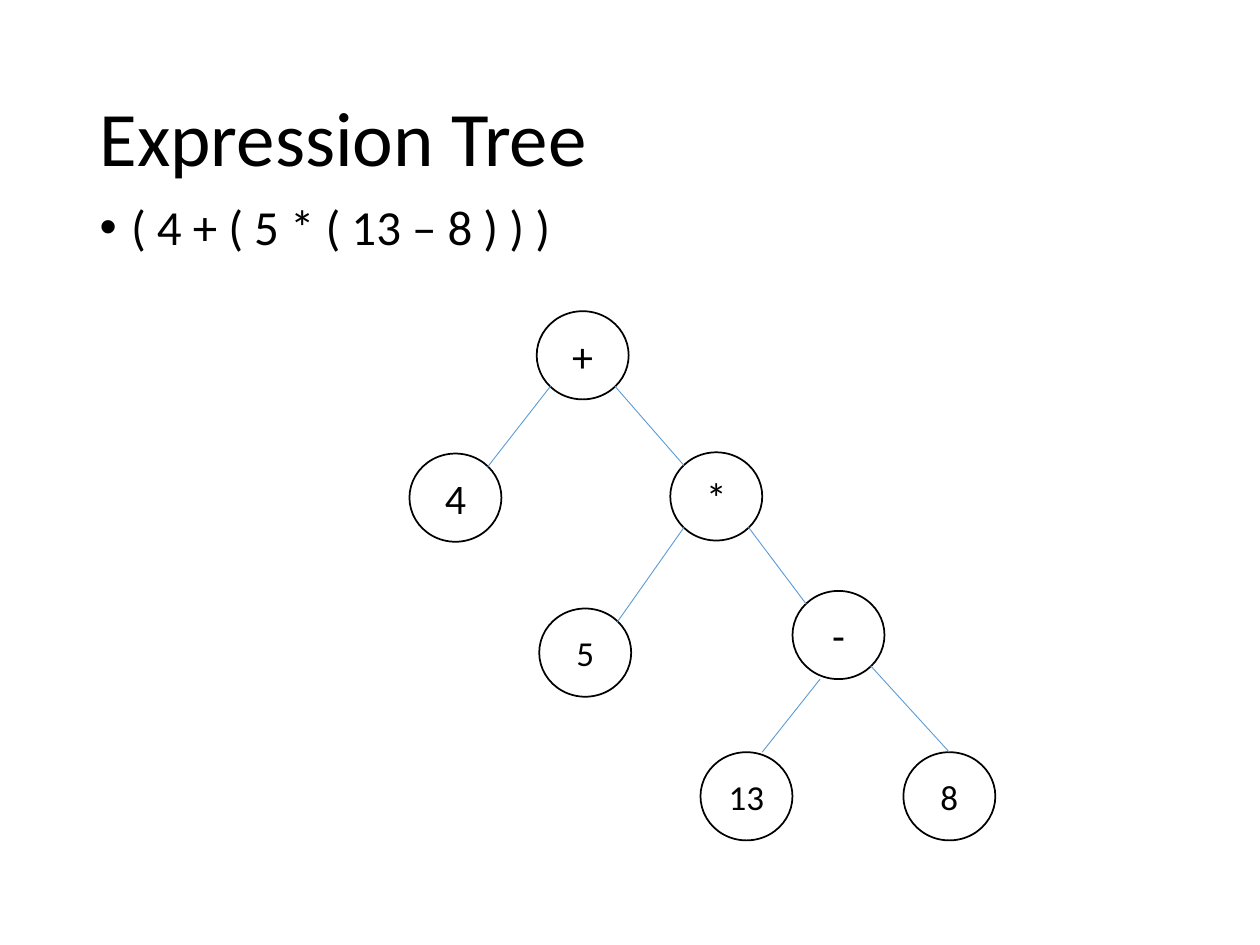
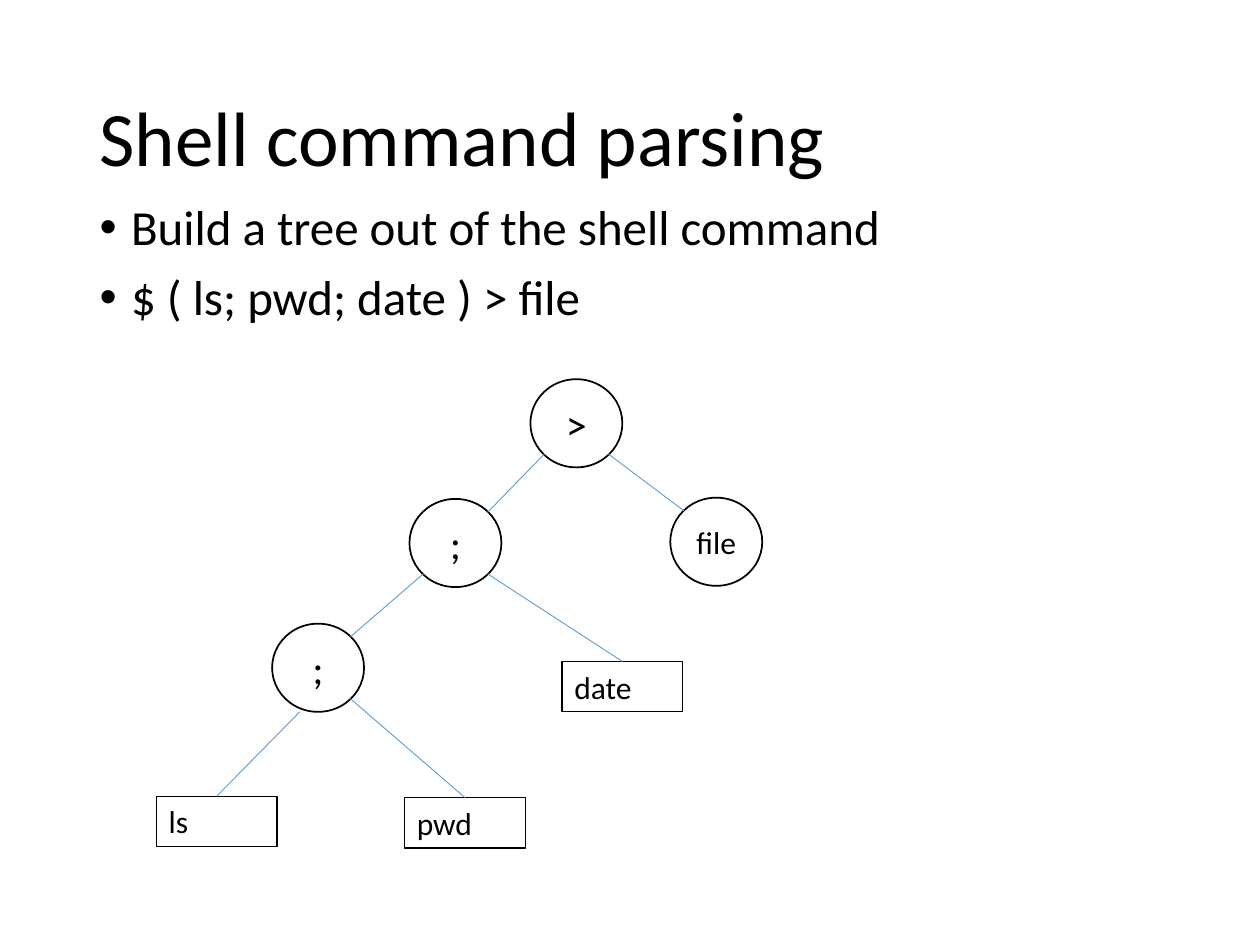
from lxml import etree
from pptx import Presentation
from pptx.dml.color import RGBColor
from pptx.enum.shapes import MSO_CONNECTOR, MSO_SHAPE
from pptx.enum.text import MSO_ANCHOR, MSO_AUTO_SIZE, PP_ALIGN
from pptx.oxml.ns import qn
from pptx.util import Inches, Pt

OVAL, STRAIGHT = MSO_SHAPE.OVAL, MSO_CONNECTOR.STRAIGHT
TOP, MIDDLE = MSO_ANCHOR.TOP, MSO_ANCHOR.MIDDLE
LEFT, CENTER = PP_ALIGN.LEFT, PP_ALIGN.CENTER
NO_FIT, FIT_SHAPE = MSO_AUTO_SIZE.NONE, MSO_AUTO_SIZE.SHAPE_TO_FIT_TEXT

COLORS = {"paper": "FFFFFF", "ink": "000000", "edge": "5B9BD5"}
FONT = "Calibri"
TITLE_BOX = (0.69, 0.4, 8.62, 1.45)
BODY_BOX = (0.69, 1.56, 8.62, 4.76)
CIRCLE_SIZE = (0.73, 0.7)
COMMAND_SIZE = (0.96, 0.4)
COMMAND_TOP = 0  # connection site

# Points on a circle's frame, as fractions of its width and height
PORTS = {"nw": (0.15, 0.15), "ne": (0.85, 0.15), "sw": (0.15, 0.85), "se": (0.85, 0.85),
         "top": (0.5, 0), "top right": (0.67, 0), "bottom left": (0.3, 1)}

# Circles: name -> (label, font size, x, y), measured from the tree's corner
EXPRESSION_CIRCLES = {
    "plus": ("+", 24, 1.01, 0),
    "four": ("4", 24, 0, 1.13),
    "times": ("*", 24, 2.07, 1.12),
    "thirteen": ("13", 20, 2.31, 3.5),
    "minus": ("-", 24, 3.04, 2.22),
    "five": ("5", 20, 1.03, 2.36),
    "eight": ("8", 20, 3.92, 3.5),
}
# Edges: (parent, parent port, child, child port)
EXPRESSION_EDGES = [
    ("plus", "sw", "four", "ne"),
    ("plus", "se", "times", "nw"),
    ("times", "sw", "five", "ne"),
    ("times", "se", "minus", "nw"),
    ("minus", "bottom left", "thirteen", "top right"),
    ("minus", "se", "eight", "top"),
]

SHELL_CIRCLES = {
    "redirect": (">", 24, 2.97, 0),
    "outer list": (";", 24, 2.01, 0.95),
    "file": ("file", 18, 4.08, 0.94),
    "inner list": (";", 24, 0.92, 1.94),
}
SHELL_COMMANDS = {"date": (3.22, 2.24), "pwd": (1.97, 3.32), "ls": (0, 3.31)}
SHELL_EDGES = [
    ("redirect", "sw", "outer list", "ne"),
    ("redirect", "se", "file", "nw"),
    ("outer list", "se", "date", None),
    ("outer list", "sw", "inner list", "ne"),
    ("inner list", "se", "pwd", None),
    ("inner list", "bottom left", "ls", None),
]


def rgb(name):
    return RGBColor.from_string(COLORS[name])


def inches(values):
    return [Inches(v) for v in values]


def style_text(p, size, align=LEFT):
    p.alignment = align
    for r in p.runs:
        r.font.name = FONT
        r.font.size = Pt(size)
        r.font.color.rgb = rgb("ink")


def set_line(shape, color, width):
    shape.line.color.rgb = rgb(color)
    shape.line.width = Pt(width)


def fill_placeholder(sp, box, lines, size, anchor):
    sp.left, sp.top, sp.width, sp.height = inches(box)
    tf = sp.text_frame
    tf.text = "\n".join(lines)
    tf.auto_size = NO_FIT
    tf.vertical_anchor = anchor
    for p in tf.paragraphs:
        style_text(p, size)
        p.line_spacing = 0.9


def add_heading(s, title, bullets):
    fill_placeholder(s.shapes.title, TITLE_BOX, [title], 44, MIDDLE)
    body = s.placeholders[1]
    fill_placeholder(body, BODY_BOX, bullets, 28, TOP)
    for p in body.text_frame.paragraphs:
        p.space_before = Pt(10)
        pPr = p._p.get_or_add_pPr()
        pPr.set("marL", str(Inches(0.25)))
        pPr.set("indent", str(Inches(-0.25)))
        etree.SubElement(pPr, qn("a:buChar")).set("char", "•")


def add_circle(s, x, y, label, size):
    sp = s.shapes.add_shape(OVAL, *inches((x, y, *CIRCLE_SIZE)))
    sp.shadow.inherit = False
    sp.fill.solid()
    sp.fill.fore_color.rgb = rgb("paper")
    set_line(sp, "ink", 1)
    tf = sp.text_frame
    tf.text = label
    tf.word_wrap = False
    tf.vertical_anchor = MIDDLE
    style_text(tf.paragraphs[0], size, CENTER)
    return sp


def add_command(s, x, y, label):
    sp = s.shapes.add_textbox(*inches((x, y, *COMMAND_SIZE)))
    set_line(sp, "ink", 0.75)
    tf = sp.text_frame
    tf.text = label
    tf.word_wrap = True
    tf.auto_size = FIT_SHAPE
    style_text(tf.paragraphs[0], 18)
    return sp


def port_point(sp, port):
    fx, fy = PORTS[port]
    return int(sp.left + fx * sp.width), int(sp.top + fy * sp.height)


def add_edge(s, parent, parent_port, child, child_port):
    """Draw a line to a port of a circle, or to the top of a command if no port is given."""
    end = port_point(child, child_port or "top")
    line = s.shapes.add_connector(STRAIGHT, *port_point(parent, parent_port), *end)
    if child_port is None:
        line.end_connect(child, COMMAND_TOP)
    set_line(line, "edge", 0.5)
    etree.SubElement(line._element.spPr, qn("a:effectLst"))


def add_tree(s, left, top, circles, edges, commands):
    nodes = {name: add_circle(s, left + x, top + y, label, size)
             for name, (label, size, x, y) in circles.items()}
    for name, (x, y) in commands.items():
        nodes[name] = add_command(s, left + x, top + y, name)
    for parent, parent_port, child, child_port in edges:
        add_edge(s, nodes[parent], parent_port, nodes[child], child_port)


def add_tree_slide(prs, title, bullets, corner, circles, edges, commands):
    s = prs.slides.add_slide(prs.slide_layouts[1])
    add_heading(s, title, bullets)
    add_tree(s, *corner, circles, edges, commands)


def main():
    prs = Presentation()
    prs.slide_width, prs.slide_height = Inches(10), Inches(7.5)
    add_tree_slide(prs, "Expression Tree", ["( 4 + ( 5 * ( 13 – 8 ) ) )"],
                   (3.25, 2.47), EXPRESSION_CIRCLES, EXPRESSION_EDGES, {})
    add_tree_slide(prs, "Shell command parsing",
                   ["Build a tree out of the shell command", "$ ( ls; pwd; date ) > file"],
                   (1.24, 3.01), SHELL_CIRCLES, SHELL_EDGES, SHELL_COMMANDS)
    prs.save("out.pptx")


if __name__ == "__main__":
    main()
